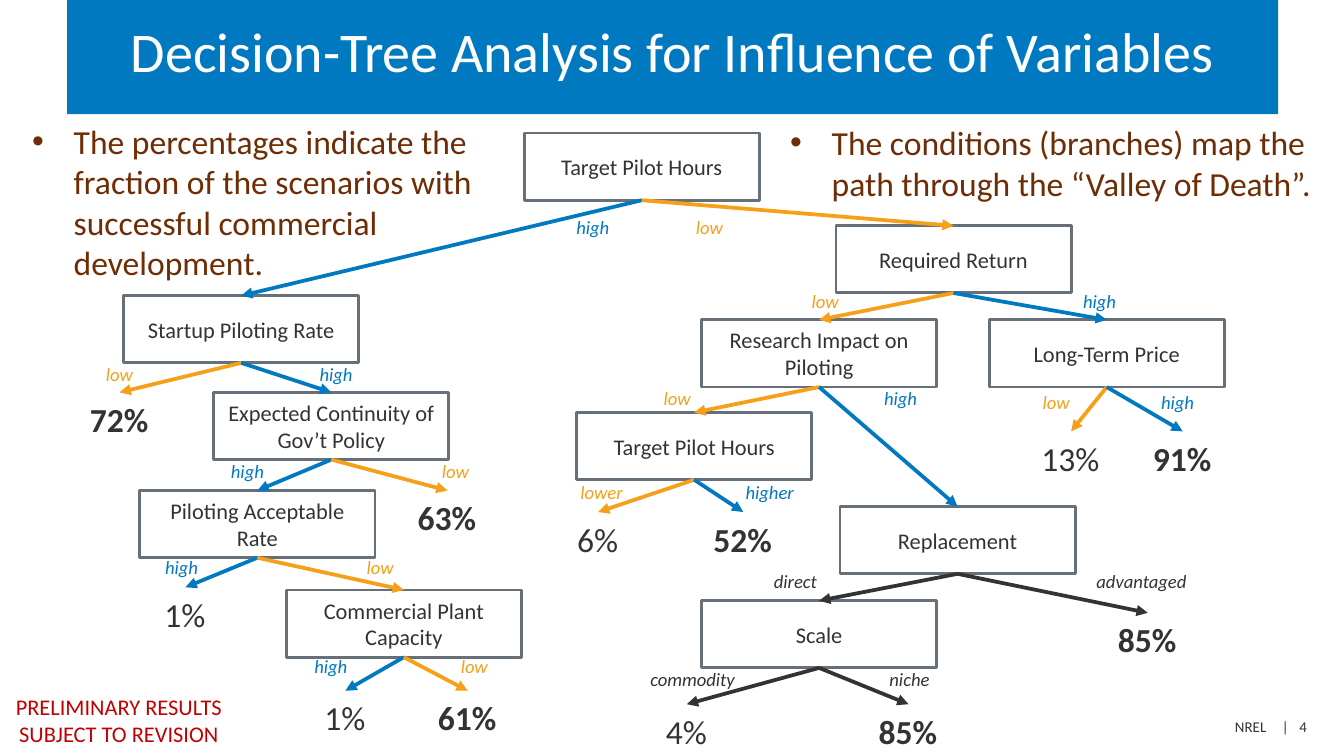
from lxml import etree
from pptx import Presentation
from pptx import util as u
from pptx.dml.color import RGBColor
from pptx.enum import shapes, text
from pptx.oxml.ns import qn

BLUE, ORANGE, DARK = "0079C1", "F6A01A", "333333"
GRAY, BROWN, RED, WHITE = "677079", "6E2D05", "C00000", "FFFFFF"
NODE_W, NODE_H = 1.75, 0.5

NODES = {
    "root": ("Target Pilot Hours", 3.9, 0, 0.57),
    "startup": ("Startup Piloting Rate", 0.92, 1.21, 1.66),
    "return": ("Required Return", 6.22, 0.69, 1.12),
    "price": ("Long-Term Price", 7.36, 1.39, 1.87),
    "research": ("Research Impact on Piloting", 5.22, 1.39, 1.84),
    "hours": ("Target Pilot Hours", 4.29, 2.08, 2.54),
    "replacement": ("Replacement", 6.25, 2.78, 3.2),
    "scale": ("Scale", 5.22, 3.48, 3.93),
    "policy": ("Expected Continuity of Gov’t Policy", 1.59, 1.93, 2.38),
    "acceptable": ("Piloting Acceptable Rate", 1.04, 2.66, 3.1),
    "capacity": ("Commercial Plant Capacity", 2.13, 3.4, 3.83),
}
BRANCHES = [
    ("root", "startup", "high", 4.19),
    ("root", "return", "low", 5.08),
    ("startup", (72, 0.89, 1.93), "low", 0.69),
    ("startup", "policy", "high", 2.28),
    ("policy", "acceptable", "high", 1.62),
    ("policy", (63, 3.33, 2.66), "low", 3.19),
    ("acceptable", (1, 1.38, 3.38), "high", 1.13),
    ("acceptable", "capacity", "low", 2.63),
    ("capacity", (1, 2.57, 4.15), "high", 2.24),
    ("capacity", (61, 3.48, 4.15), "low", 3.33),
    ("return", "research", "low", 5.94),
    ("return", "price", "high", 7.96),
    ("price", (13, 7.97, 2.22), "low", 7.66),
    ("price", (91, 8.8, 2.22), "high", 8.54),
    ("research", "hours", "low", 4.84),
    ("research", "replacement", "high", 6.48),
    ("hours", (6, 4.45, 2.82), "lower", 4.22),
    ("hours", (52, 5.53, 2.82), "higher", 5.45),
    ("replacement", "scale", "direct", 5.66),
    ("replacement", (85, 8.54, 3.57), "advantaged", 8.06),
    ("scale", (4, 5.11, 4.25), "commodity", 4.74),
    ("scale", (85, 6.76, 4.25), "niche", 6.52),
]
LABELS = {
    "high": (0.45, BLUE), "higher": (0.56, BLUE),
    "low": (0.41, ORANGE), "lower": (0.52, ORANGE),
    "direct": (0.52, DARK), "advantaged": (0.88, DARK),
    "commodity": (0.84, DARK), "niche": (0.5, DARK),
}


def rgb(value):
    return RGBColor.from_string(value)


def inches(box):
    return [u.Inches(v) for v in box]


def write(sp, words, size, color, align=None, bold=False, italic=False):
    p = sp.text_frame.paragraphs[0]
    p.text = words
    p.alignment = align
    for r in p.runs:
        f = r.font
        f.name, f.size, f.bold, f.italic = "Calibri", u.Pt(size), bold, italic
        f.color.rgb = rgb(color)
    return p


def add_text(s, box, words, size, color, wrap=False, **style):
    sp = s.shapes.add_textbox(*inches(box))
    sp.text_frame.word_wrap = wrap
    write(sp, words, size, color, **style)
    return sp


def add_title(s, box, words):
    sp = s.shapes.title
    sp.left, sp.top, sp.width, sp.height = inches(box)
    sp.fill.solid()
    sp.fill.fore_color.rgb = rgb(BLUE)
    tf = sp.text_frame
    tf.auto_size = text.MSO_AUTO_SIZE.NONE
    tf.vertical_anchor = text.MSO_ANCHOR.MIDDLE
    p = write(sp, words, 30, WHITE, text.PP_ALIGN.CENTER)
    p.line_spacing = u.Pt(28)


def add_bullet(s, box, words):
    sp = add_text(s, box, words, 18, BROWN, wrap=True)
    pPr = sp.text_frame.paragraphs[0]._p.get_or_add_pPr()
    pPr.set("marL", str(u.Inches(0.31)))
    pPr.set("indent", str(u.Inches(-0.31)))
    etree.SubElement(pPr, qn("a:buFont"), typeface="Arial")
    etree.SubElement(pPr, qn("a:buChar"), char="•")


def add_footer(s, box, parts, stops):
    words = "".join("\t" + part for part in parts)
    sp = add_text(s, box, words, 8, DARK, wrap=True)
    pPr = sp.text_frame.paragraphs[0]._p.get_or_add_pPr()
    tabs = etree.SubElement(pPr, qn("a:tabLst"))
    for stop in stops:
        etree.SubElement(tabs, qn("a:tab"), pos=str(u.Inches(stop)), algn="l")


def add_node(s, box, words):
    sp = s.shapes.add_shape(shapes.MSO_SHAPE.RECTANGLE, *inches(box))
    sp.shadow.inherit = False
    sp.fill.background()
    sp.line.color.rgb = rgb(GRAY)
    sp.line.width = u.Pt(1.5)
    sp.text_frame.word_wrap = True
    sp.text_frame.vertical_anchor = text.MSO_ANCHOR.MIDDLE
    write(sp, words, 12, DARK, text.PP_ALIGN.CENTER)
    return sp


def add_leaf(s, center, top, percent):
    w = 0.64 if percent > 9 else 0.51
    return add_text(s, (center - w / 2, top, w, 0.4), f"{percent}%", 18, DARK,
                    bold=percent > 50)


def add_arrow(s, parent, child, color):
    c = s.shapes.add_connector(shapes.MSO_CONNECTOR.STRAIGHT, 0, 0, 0, 0)
    c.begin_connect(parent, 2)
    c.end_connect(child, 0)
    c.line.color.rgb = rgb(color)
    c.line.width = u.Pt(2)
    spPr = c._element.spPr
    etree.SubElement(spPr.find(qn("a:ln")), qn("a:tailEnd"), type="triangle")
    etree.SubElement(spPr, qn("a:effectLst"))


def add_tree(s, left, top):
    nodes = {key: add_node(s, (left + x, top + y, NODE_W, NODE_H), words)
             for key, (words, x, y, _) in NODES.items()}
    for parent, child, label, x in BRANCHES:
        w, color = LABELS[label]
        if isinstance(child, str):
            target = nodes[child]
        else:
            percent, center, y = child
            target = add_leaf(s, left + center, top + y, percent)
        add_arrow(s, nodes[parent], target, color)
        label_y = NODES[parent][3]
        add_text(s, (left + x, top + label_y, w, 0.27), label, 10, color, italic=True)


def main():
    prs = Presentation()
    prs.slide_width = u.Inches(10)
    prs.slide_height = prs.slide_width * 9 // 16
    s = prs.slides.add_slide(prs.slide_layouts[5])
    add_title(s, (0.5, 0, 9.01, 0.85), "Decision-Tree Analysis for Influence of Variables")
    add_bullet(s, (5.78, 0.86, 4.22, 0.71),
               "The conditions (branches) map the path through the “Valley of Death”.")
    add_bullet(s, (0.14, 0.85, 3.74, 1.31),
               "The percentages indicate the fraction of the scenarios with "
               "successful commercial development.")
    add_tree(s, 0, 0.99)
    add_text(s, (0.01, 5.11, 1.75, 0.5), "PRELIMINARY RESULTS\vSUBJECT TO REVISION",
             12, RED, wrap=True, align=text.PP_ALIGN.CENTER)
    add_footer(s, (7.34, 5.29, 2.49, 0.24), ("NREL", "|", "4"), (1.75, 2.1, 2.23))
    prs.save("out.pptx")


if __name__ == "__main__":
    main()
